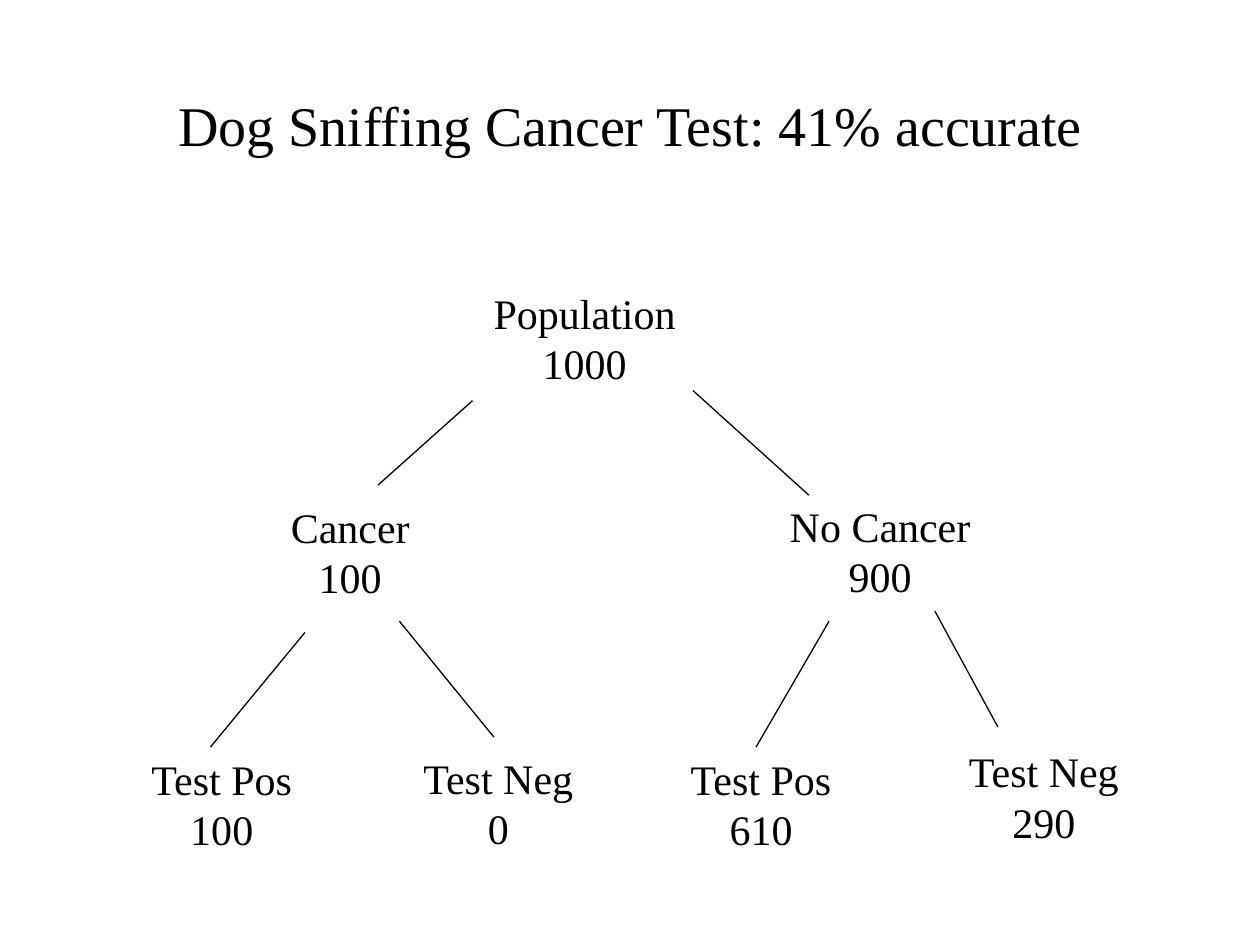
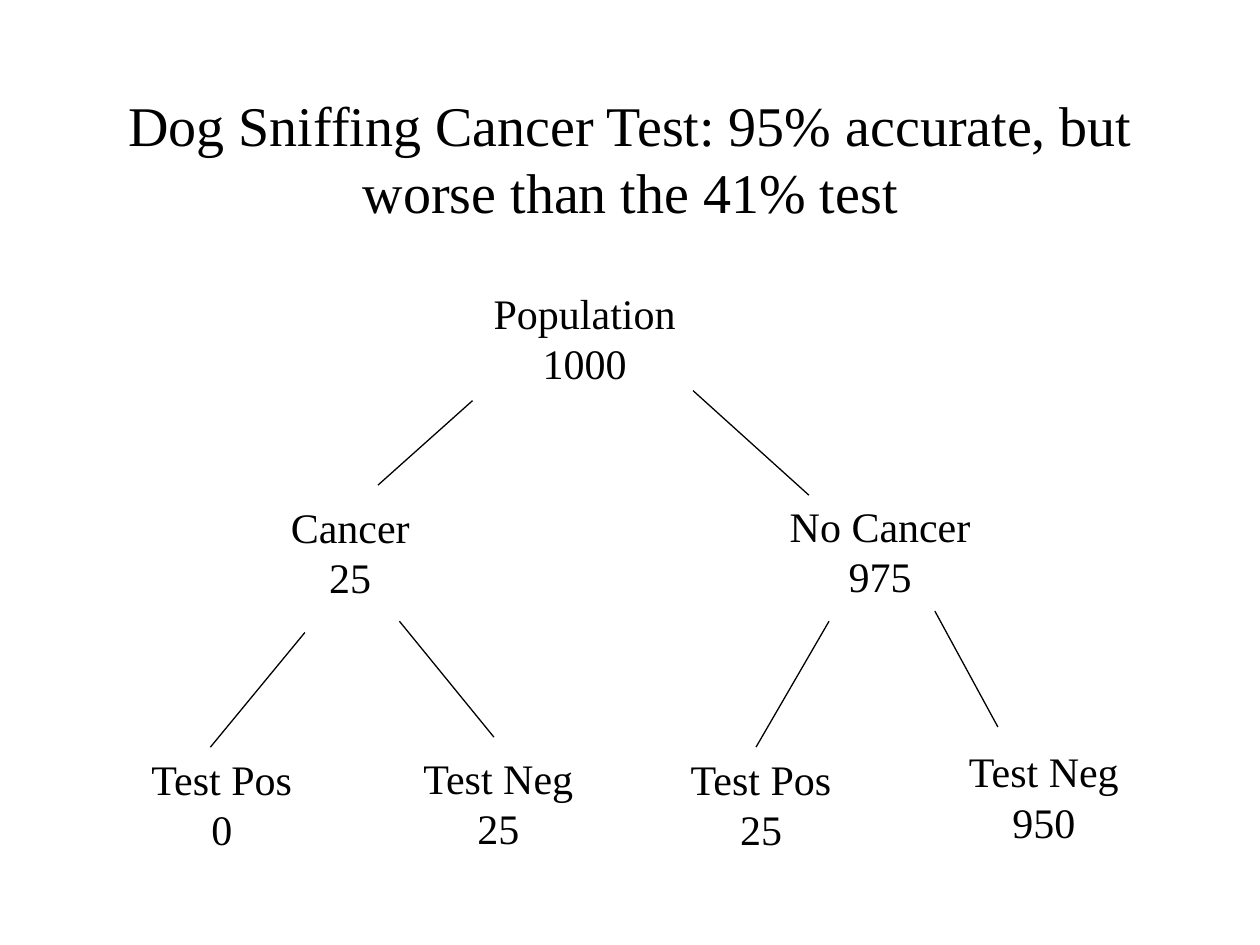
"""Build two probability-tree slides comparing dog sniffing cancer tests."""
from lxml.etree import SubElement
from pptx import Presentation
from pptx.dml.color import RGBColor
from pptx.enum.shapes import MSO_CONNECTOR
from pptx.enum.text import MSO_AUTO_SIZE, PP_ALIGN
from pptx.oxml.ns import qn
from pptx.util import Inches, Pt

COLORS = {"ink": "000000", "background": "FFFFFF"}
FONT = "Times New Roman"
SIDE_MARGIN = 0.07

TREE_NODES = [
    ("Population", 3.82, 2.23, 1.64),
    ("Cancer", 2.21, 3.93, 1.14),
    ("No Cancer", 6.17, 3.92, 1.63),
    ("Test Pos", 1.09, 5.93, 1.34),
    ("Test Neg", 3.25, 5.92, 1.41),
    ("Test Pos", 5.37, 5.93, 1.34),
    ("Test Neg", 7.58, 5.87, 1.41),
]
NODE_HEIGHT = 0.9

BRANCHES = [
    (3.75, 3.18, 3, 3.85),
    (5.5, 3.1, 6.42, 3.93),
    (2.42, 5.02, 1.67, 5.93),
    (3.17, 4.93, 3.92, 5.85),
    (6.58, 4.93, 6, 5.93),
    (7.42, 4.85, 7.92, 5.77),
]

TESTS = [
    ("Dog Sniffing Cancer Test: 41% accurate", 0.64,
     [1000, 100, 900, 100, 0, 610, 290]),
    ("Dog Sniffing Cancer Test: 95% accurate, but worse than the 41% test", 1.17,
     [1000, 25, 975, 0, 25, 25, 950]),
]


def add_text(slide, text, left, top, width, height, size=24, wrap=False, space_before=0):
    text_box = slide.shapes.add_textbox(Inches(left), Inches(top), Inches(width), Inches(height))
    frame = text_box.text_frame
    frame.margin_left = frame.margin_right = Inches(SIDE_MARGIN)
    frame.word_wrap = wrap
    frame.auto_size = MSO_AUTO_SIZE.SHAPE_TO_FIT_TEXT
    frame.text = text
    for paragraph in frame.paragraphs:
        paragraph.alignment = PP_ALIGN.CENTER
        paragraph.space_before = Pt(space_before)
        font = paragraph.runs[0].font
        font.name = FONT
        font.size = Pt(size)
        font.color.rgb = RGBColor.from_string(COLORS["ink"])


presentation = Presentation()
presentation.slide_width = Inches(10)
presentation.slide_height = Inches(7.5)

for title, title_height, counts in TESTS:
    slide = presentation.slides.add_slide(presentation.slide_layouts[6])
    slide.background.fill.solid()
    slide.background.fill.fore_color.rgb = RGBColor.from_string(COLORS["background"])

    for (label, left, top, width), count in zip(TREE_NODES, counts):
        add_text(slide, f"{label}\n{count}", left, top, width, NODE_HEIGHT)

    for branch in BRANCHES:
        connector = slide.shapes.add_connector(
            MSO_CONNECTOR.STRAIGHT, *[Inches(value) for value in branch])
        connector.line.color.rgb = RGBColor.from_string(COLORS["ink"])
        connector.line.width = Pt(0.75)
        SubElement(connector.element.spPr, qn("a:effectLst"))

    add_text(slide, title, 0.42, 0.67, 9.17, title_height, size=32, wrap=True, space_before=20)

presentation.save("out.pptx")
